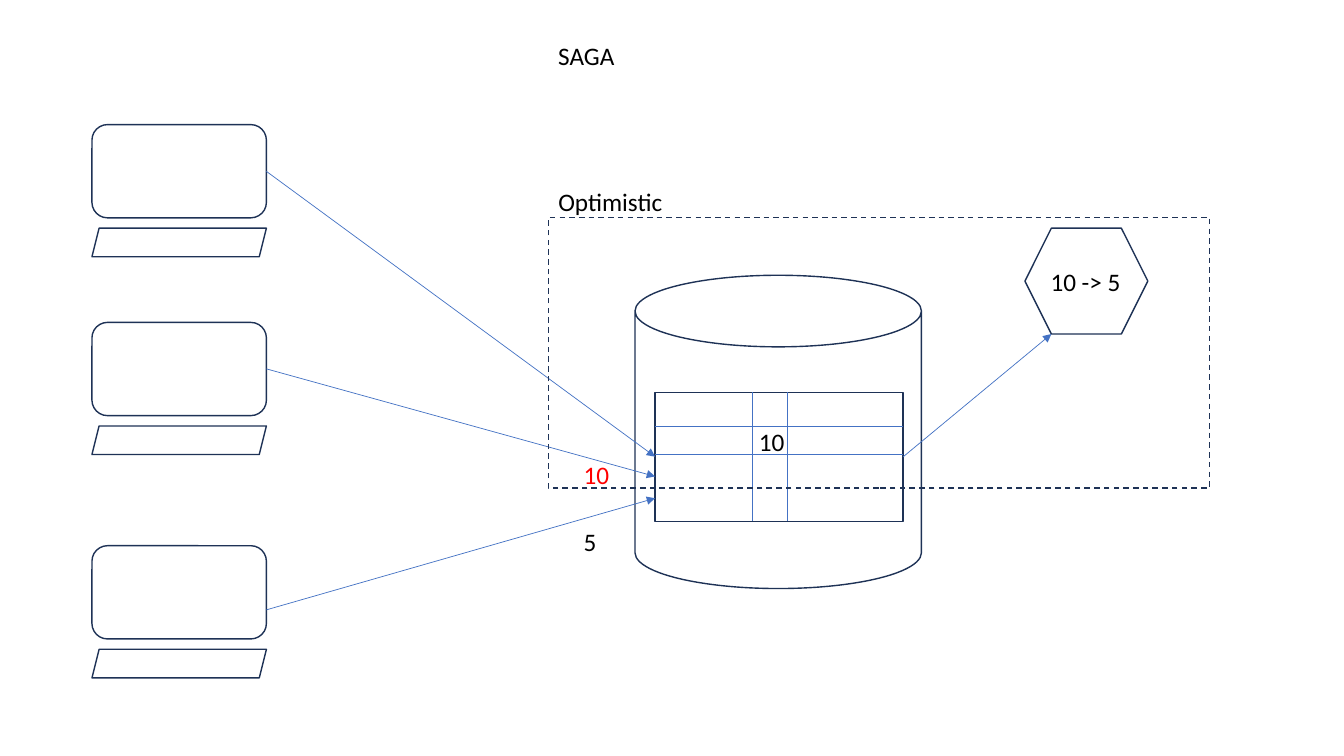
"""Build a slide of three clients racing to update one database row."""
import pptx
import pptx.dml.color
import pptx.enum.dml
import pptx.enum.shapes
import pptx.enum.text
import pptx.oxml.ns
import pptx.util
from lxml import etree

Pt = pptx.util.Pt
RGBColor = pptx.dml.color.RGBColor
KIND = pptx.enum.shapes.MSO_SHAPE
NAVY = RGBColor(0x1E, 0x32, 0x56)
BLUE = RGBColor(0x44, 0x72, 0xC4)
BLACK = RGBColor(0, 0, 0)
RED = RGBColor(0xFF, 0, 0)

CLIENT_X, CLIENT_W = 65.7, 124.6
SCREEN_H, KEYS_H, KEYS_DROP = 66.6, 20.4, 74
CLIENTS = [(89, 122.4, 326.2), (230.3, 263.5, 340.3), (389.8, 435.6, 355.9)]
DATA = (453.6, 196.6, 204.6, 223.8)
TABLE = (467.9, 280.2, 177.2, 92.3)
ROWS = [304.6, 324.5]
COLUMNS = [537.3, 562.4]
STATE = (732.1, 163, 87.8, 75.6)
SCOPE = (391.7, 155.3, 472.3, 193.4)
LABELS = [
    ("10", 535, 300.6, 33, BLACK),
    ("10 -> 5", 743.3, 186.4, 65, BLACK),
    ("Optimistic", 391.7, 129.7, 90, BLACK),
    ("10", 409.8, 324.8, 33, RED),
    ("5", 409.8, 372.5, 24, BLACK),
    ("SAGA", 391.7, 25.5, 55, BLACK),
]
LABEL_H = 29

deck = pptx.Presentation()
deck.slide_width, deck.slide_height = Pt(960), Pt(540)
slide = deck.slides.add_slide(deck.slide_layouts[6])


def add_box(kind, box, dash=None):
    shape = slide.shapes.add_shape(kind, *map(Pt, box))
    shape.shadow.inherit = False
    shape.fill.background()
    shape.line.fill.solid()
    shape.line.color.rgb = NAVY
    shape.line.width = Pt(1)
    if dash:
        shape.line.dash_style = dash


def add_line(start, end, arrow=False):
    line = slide.shapes.add_connector(
        pptx.enum.shapes.MSO_CONNECTOR.STRAIGHT, *map(Pt, start + end))
    line.line.color.rgb = BLUE
    line.line.width = Pt(0.5)
    props = line._element.spPr
    etree.SubElement(props, pptx.oxml.ns.qn("a:effectLst"))
    if arrow:
        outline = props.find(pptx.oxml.ns.qn("a:ln"))
        etree.SubElement(outline, pptx.oxml.ns.qn("a:tailEnd"), type="triangle")


def add_label(text, left, top, width, color):
    box = slide.shapes.add_textbox(Pt(left), Pt(top), Pt(width), Pt(LABEL_H))
    box.text_frame.word_wrap = False
    box.text_frame.auto_size = pptx.enum.text.MSO_AUTO_SIZE.SHAPE_TO_FIT_TEXT
    run = box.text_frame.paragraphs[0].add_run()
    run.text = text
    for name, value in {"name": "Calibri", "size": Pt(18)}.items():
        setattr(run.font, name, value)
    run.font.color.rgb = color


left, top, width, height = TABLE
right, bottom = left + width, top + height

add_box(KIND.CAN, DATA)
add_box(KIND.RECTANGLE, TABLE)
for y in ROWS:
    add_line((left, y), (right, y))
for x in COLUMNS:
    add_line((x, top), (x, bottom))

for y, start, end in CLIENTS:
    add_box(KIND.ROUNDED_RECTANGLE, (CLIENT_X, y, CLIENT_W, SCREEN_H))
    add_box(KIND.PARALLELOGRAM, (CLIENT_X, y + KEYS_DROP, CLIENT_W, KEYS_H))
    add_line((CLIENT_X + CLIENT_W, start), (left, end), arrow=True)

add_box(KIND.HEXAGON, STATE)
corner = (STATE[0] + STATE[3] / 4, STATE[1] + STATE[3])
add_line((right, top + height / 2), corner, arrow=True)
add_box(KIND.RECTANGLE, SCOPE, pptx.enum.dml.MSO_LINE.DASH)

for label in LABELS:
    add_label(*label)

deck.save("out.pptx")
